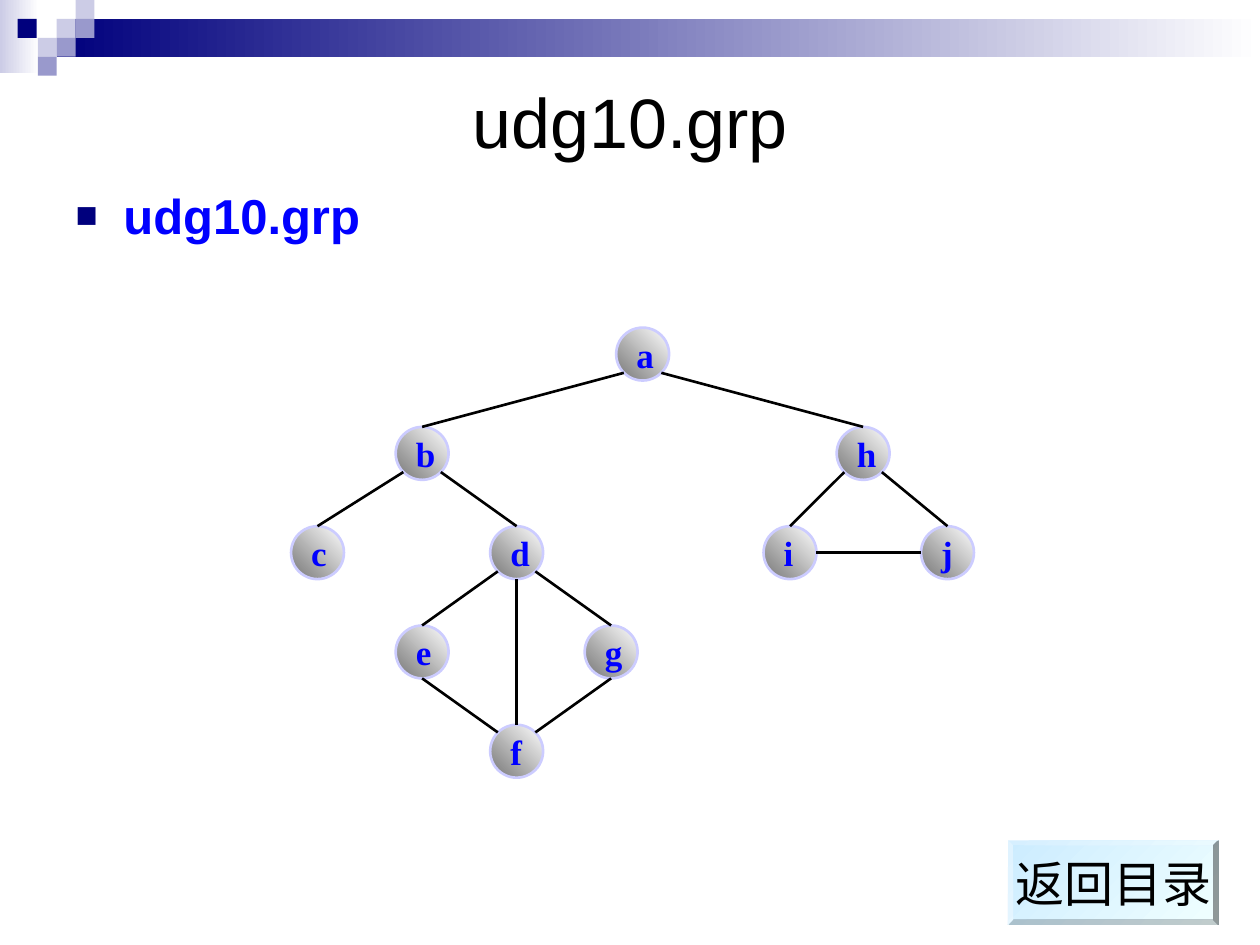
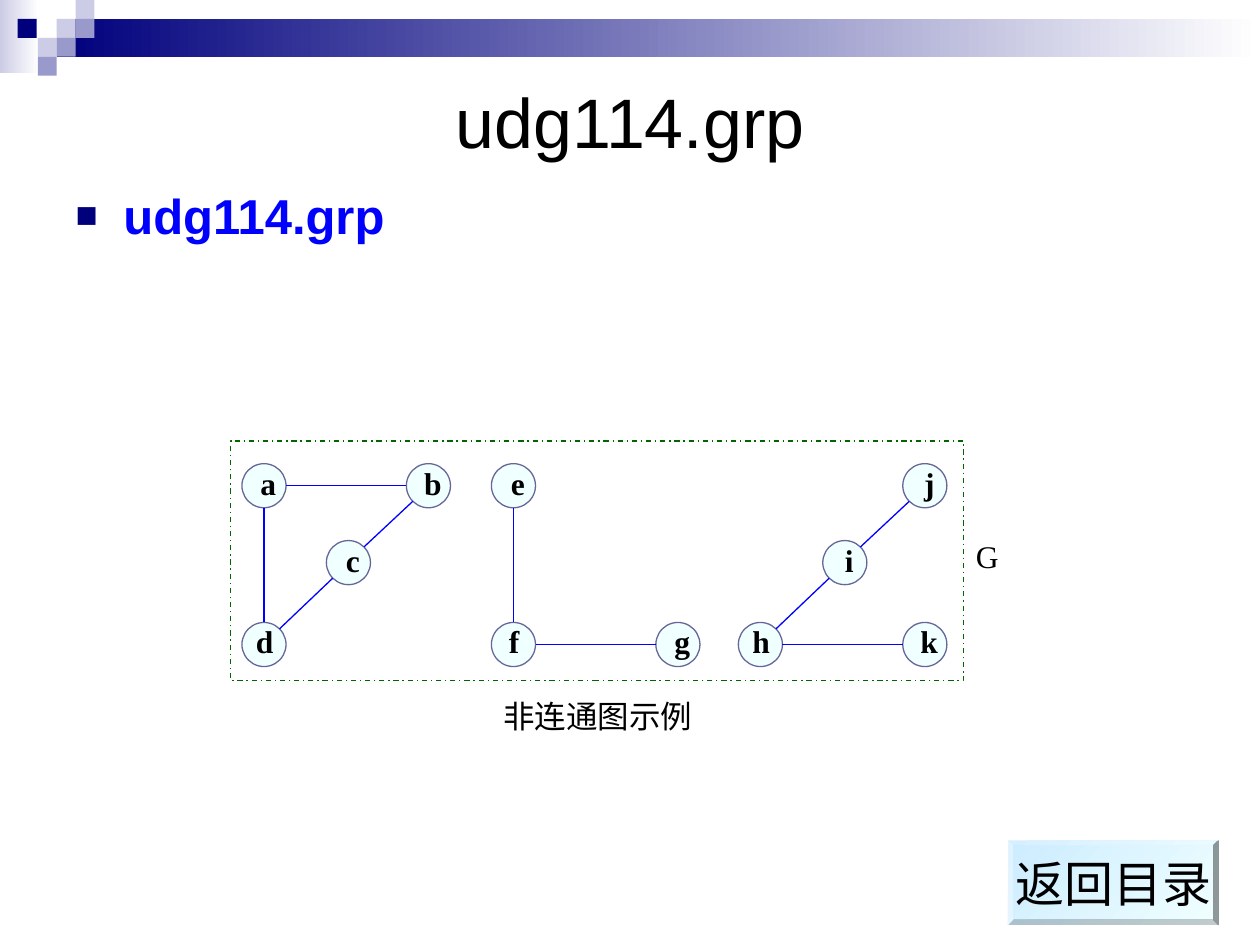
from lxml import etree
from pptx import Presentation
from pptx import util as u
from pptx.dml import color as dc
from pptx.enum import dml, shapes, text
from pptx.oxml import ns

COLS, ROWS = 100, 75
NAVY, LILAC, VIOLET = "00007D", "CCCCE6", "9999CC"
BLUE, BLACK, WHITE, ICE = "0000FF", "000000", "FFFFFF", "F0FFFF"
SANS, SERIF = "Arial", "Times New Roman"
SITES = {"N": (0, -1), "S": (0, 1), "W": (-1, 0), "E": (1, 0),
         "NW": (-0.71, -0.71), "NE": (0.71, -0.71),
         "SW": (-0.71, 0.71), "SE": (0.71, 0.71)}


def rgb(value):
    return dc.RGBColor.from_string(value)


class Deck:
    def __init__(self):
        self.prs = Presentation()
        self.prs.slide_width = u.Inches(10)
        self.prs.slide_height = u.Inches(7.5)
        self.layout = self.prs.slide_layouts[1]
        self.s = None

    def x(self, cols):
        return round(self.prs.slide_width * cols / COLS)

    def y(self, rows):
        return round(self.prs.slide_height * rows / ROWS)

    def box(self, left, top, width, height):
        return self.x(left), self.y(top), self.x(width), self.y(height)

    def place(self, sp, *at):
        sp.left, sp.top, sp.width, sp.height = self.box(*at)

    def set_text(self, sp, words, size, color=BLACK, font=SANS, bold=False, align="CENTER"):
        sp.text_frame.text = words
        p = sp.text_frame.paragraphs[0]
        p.alignment = getattr(text.PP_ALIGN, align)
        r = p.runs[0]
        r.font.size, r.font.name, r.font.bold = u.Pt(size), font, bold
        r.font.color.rgb = rgb(color)
        return p

    def shape(self, kind, at, fill=None, line=None, width=0.75, angle=0):
        sp = self.s.shapes.add_shape(getattr(shapes.MSO_SHAPE, kind), *self.box(*at))
        sp.shadow.inherit = False
        if fill is None:
            sp.fill.background()
        elif isinstance(fill, str):
            sp.fill.solid()
            sp.fill.fore_color.rgb = rgb(fill)
        else:
            sp.fill.gradient()
            sp.fill.gradient_angle = angle
            for stop, color in zip(sp.fill.gradient_stops, fill):
                stop.color.rgb = rgb(color)
        if line:
            sp.line.color.rgb = rgb(line)
            sp.line.width = u.Pt(width)
        else:
            sp.line.fill.background()
        return sp

    def label(self, words, at, inset=True, bold=False):
        sp = self.s.shapes.add_textbox(*self.box(*at))
        tf = sp.text_frame
        tf.word_wrap = True
        if not inset:
            tf.margin_left = tf.margin_right = tf.margin_top = tf.margin_bottom = 0
        self.set_text(sp, words, 18, font=SERIF, bold=bold)

    def edges(self, links, centres, radius, color, width):
        for link in links.split():
            ends = []
            for end in link.split("-"):
                (col, row), (dx, dy) = centres[end[0]], SITES[end[1:]]
                ends += [self.x(col + radius * dx), self.y(row + radius * dy)]
            line = self.s.shapes.add_connector(shapes.MSO_CONNECTOR.STRAIGHT, *ends)
            line.line.color.rgb = rgb(color)
            line.line.width = u.Pt(width)
            etree.SubElement(line.element.spPr, ns.qn("a:effectLst"))

    def banner(self):
        art = [self.shape("RECTANGLE", (0, 0, 3.1, 5.8), (LILAC, WHITE)),
               self.shape("RECTANGLE", (4.5, 1.5, 95.5, 3), (NAVY, WHITE))]
        tiles = [(4.5, 1.5, LILAC), (6, 0, LILAC), (6, 1.5, VIOLET), (3, 3, LILAC),
                 (1.4, 1.5, NAVY), (4.5, 3, VIOLET), (3, 4.5, VIOLET)]
        art += [self.shape("RECTANGLE", (col, row, 1.5, 1.5), fill) for col, row, fill in tiles]
        for i, sp in enumerate(art):
            sp.element.xpath(".//p:cNvPr")[0].set("id", str(20 + i))
            self.layout.shapes.element.insert(2 + i, sp.element)

    def bullet(self, p):
        p.space_before = u.Pt(7)
        pPr = p._p.get_or_add_pPr()
        pPr.set("marL", str(u.Inches(0.38)))
        pPr.set("indent", str(-u.Inches(0.38)))
        clr = etree.SubElement(pPr, ns.qn("a:buClr"))
        etree.SubElement(clr, ns.qn("a:srgbClr"), val=NAVY)
        etree.SubElement(pPr, ns.qn("a:buSzPct"), val="75000")
        etree.SubElement(pPr, ns.qn("a:buFont"), typeface=SANS)
        etree.SubElement(pPr, ns.qn("a:buChar"), char="■")

    def new_slide(self, name):
        first = self.s is None
        self.s = self.prs.slides.add_slide(self.layout)
        if first:
            self.banner()
        title, body = self.s.placeholders
        self.place(title, 5, 5, 90, 9.2)
        self.place(body, 5, 14.2, 90, 53.3)
        self.set_text(title, name, 40)
        self.bullet(self.set_text(body, name, 28, BLUE, bold=True, align="LEFT"))

    def back_button(self):
        sp = self.shape("BEVEL", (80, 66.7, 16.7, 6.7), ("CCECFF", ICE), angle=315)
        sp.adjustments[0] = 0.06
        sp.text_frame.word_wrap = False
        self.set_text(sp, "返回目录", 28)


def tree_slide(deck):
    deck.new_slide("udg10.grp")
    top, step, radius = 28.1, 7.88, 2.1
    levels = [{"a": 51}, {"b": 33.5, "h": 68.5},
              {"c": 25.2, "d": 41, "i": 62.7, "j": 75.2},
              {"e": 33.5, "g": 48.5}, {"f": 41}]
    centres = {name: (col, top + step * depth)
               for depth, level in enumerate(levels) for name, col in level.items()}
    for name, (col, row) in centres.items():
        sp = deck.shape("OVAL", (col - radius, row - radius, 2 * radius, 2 * radius),
                        ("767676", WHITE), "CCCCFF", 1.5, angle=45)
        sp.text_frame.word_wrap = False
        deck.set_text(sp, name, 20, BLUE, SERIF, True, "LEFT")
    deck.edges("aSW-bN aSE-hN bSW-cN bSE-dN dSW-eN dSE-gN dS-fN eS-fNW fNE-gS "
               "hSW-iN hSE-jN iE-jW", centres, radius, BLACK, 1.5)
    deck.back_button()


def components_slide(deck):
    deck.new_slide("udg114.grp")
    radius = 1.75
    lefts, offsets, rows = (20.95, 40.75, 60.35), (0, 6.7, 13.05), (38.55, 44.65, 51.15)
    parts = [{"a": (0, 0), "b": (2, 0), "c": (1, 1), "d": (0, 2)},
             {"e": (0, 0), "f": (0, 2), "g": (2, 2)},
             {"h": (0, 2), "i": (1, 1), "j": (2, 0), "k": (2, 2)}]
    centres = {name: (left + offsets[c], rows[r])
               for left, part in zip(lefts, parts) for name, (c, r) in part.items()}
    for name, (col, row) in centres.items():
        deck.shape("OVAL", (col - radius, row - radius, 2 * radius, 2 * radius), ICE, "666699")
        shift = 0.05 if name in "dfh" else 0.35
        deck.label(name, (col + shift - 1.2, row - radius, 2.4, 2.9), inset=False, bold=True)
    deck.edges("aE-bW aS-dN dNE-cSW cNE-bSW eS-fN fE-gW hE-kW hNE-iSW iNE-jSW",
               centres, radius, BLUE, 0.75)
    deck.label("非连通图示例", (33.5, 54.8, 27.9, 4.4))
    deck.label("G", (74.2, 42.1, 8.3, 4.4))
    frame = deck.shape("RECTANGLE", (18.3, 35, 58.2, 19), line="006600")
    frame.line.dash_style = dml.MSO_LINE.DASH_DOT
    deck.back_button()


def main():
    deck = Deck()
    tree_slide(deck)
    components_slide(deck)
    deck.prs.save("out.pptx")


if __name__ == "__main__":
    main()
